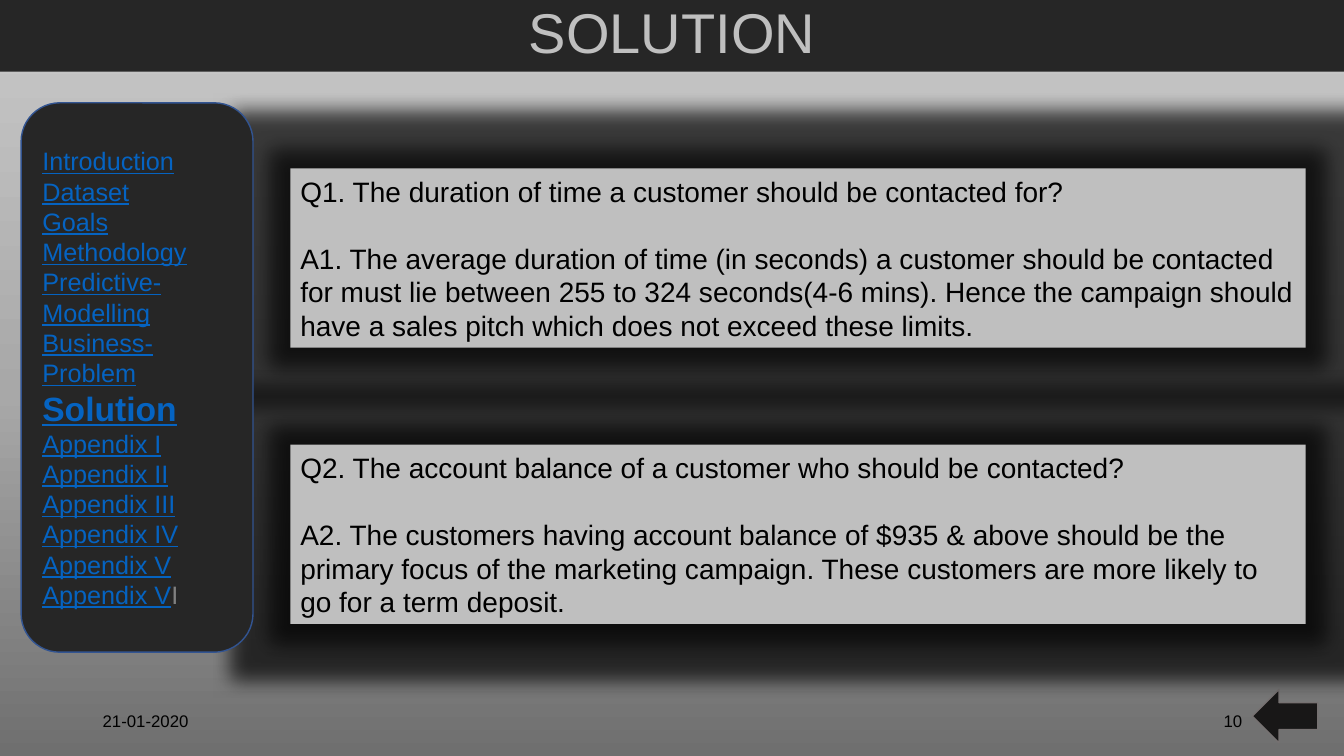
from lxml.etree import SubElement
from copy import deepcopy
from pptx import Presentation
from pptx.dml.color import RGBColor
from pptx.enum.shapes import MSO_SHAPE as Shape
from pptx.enum.text import MSO_ANCHOR as Anchor, MSO_AUTO_SIZE as AutoSize, PP_ALIGN as Align
from pptx.oxml.ns import qn
from pptx.util import Inches, Pt

WIDTH, HEIGHT = 13.33, 7.5
BLACK = RGBColor(0x00, 0x00, 0x00)
CHARCOAL = RGBColor(0x26, 0x26, 0x26)
SILVER = RGBColor(0xBF, 0xBF, 0xBF)
GREY = RGBColor(0x80, 0x80, 0x80)
LINK_BLUE = RGBColor(0x05, 0x63, 0xC1)
MENU_EDGE = RGBColor(0x32, 0x54, 0x91)
ARROW_FILL = RGBColor(0x18, 0x17, 0x17)
ARROW_EDGE = RGBColor(0x76, 0x71, 0x71)
BACKDROP = [
    (0, RGBColor(0x6F, 0x6F, 0x6F)),
    (0.48, RGBColor(0xA8, 0xA8, 0xA8)),
    (1, RGBColor(0xC9, 0xC9, 0xC9)),
]

MENU = ["Introduction", "Dataset", "Goals", "Methodology", "Predictive-Modelling",
        "Business-Problem", "Solution", "Appendix I", "Appendix II",
        "Appendix III", "Appendix IV", "Appendix V"]
ANSWERS = [
    ("Q1. The duration of time a customer should be contacted for?",
     "A1. The average duration of time (in seconds) a customer should be contacted for "
     "must lie between 255 to 324 seconds(4-6 mins). Hence the campaign should have a "
     "sales pitch which does not exceed these limits."),
    ("Q2. The account balance of a customer who should be contacted?",
     "A2. The customers having account balance of $935 & above should be the primary "
     "focus of the marketing campaign. These customers are more likely to go for a "
     "term deposit."),
]


def place(box):
    return [Inches(length) for length in box]


def add_run(paragraph, text, size, color, bold=False, underline=False):
    run = paragraph.add_run()
    run.text = text
    font = run.font
    font.name, font.size, font.bold, font.underline = "Arial", Pt(size), bold, underline
    font.color.rgb = color


def next_paragraph(frame, first):
    paragraph = frame.paragraphs[0] if first else frame.add_paragraph()
    paragraph.alignment = Align.LEFT
    return paragraph


def add_panel(slide, kind, box, fill, edge=None):
    panel = slide.shapes.add_shape(kind, *place(box))
    panel.shadow.inherit = False
    panel.fill.solid()
    panel.fill.fore_color.rgb = fill
    if edge is None:
        panel.line.fill.background()
    else:
        panel.line.color.rgb = edge
        panel.line.width = Pt(1)
    panel.text_frame.word_wrap = True
    panel.text_frame.vertical_anchor = Anchor.MIDDLE
    return panel


def add_effect(panel, effect, alpha, **settings):
    effects = panel.fill._xPr.find(qn("a:effectLst"))
    node = SubElement(effects, qn(f"a:{effect}"), settings)
    color = SubElement(node, qn("a:srgbClr"), val=str(BLACK))
    SubElement(color, qn("a:alpha"), val=str(alpha * 1000))


def paint_backdrop(slide):
    fill = slide.background.fill
    fill.gradient()
    fill.gradient_angle = 90
    first_stop = fill.gradient_stops[0]._gs
    first_stop.addnext(deepcopy(first_stop))
    for stop, (position, color) in zip(fill.gradient_stops, BACKDROP):
        stop.position = position
        stop.color.rgb = color


def title_bar(slide, box):
    title = slide.shapes.title
    title.left, title.top, title.width, title.height = place(box)
    title.fill.solid()
    title.fill.fore_color.rgb = CHARCOAL
    frame = title.text_frame
    frame.auto_size = AutoSize.NONE
    frame.vertical_anchor = Anchor.MIDDLE
    heading = frame.paragraphs[0]
    heading.alignment = Align.CENTER
    heading.line_spacing = 0.9
    add_run(heading, "SOLUTION", 40, SILVER)


def menu_panel(slide, box):
    menu = add_panel(slide, Shape.FLOWCHART_ALTERNATE_PROCESS, box, CHARCOAL, MENU_EDGE)
    frame = menu.text_frame
    for index, entry in enumerate(MENU):
        current = entry == "Solution"
        add_run(next_paragraph(frame, index == 0), entry, 24 if current else 18,
                LINK_BLUE, bold=current, underline=True)
    last_entry = next_paragraph(frame, False)
    add_run(last_entry, "Appendix V", 18, LINK_BLUE, underline=True)
    add_run(last_entry, "I", 18, GREY)


def answer_cards(slide, box):
    left, top, width, height = box
    card_height = 1.78
    step = height - card_height
    for row, (question, answer) in enumerate(ANSWERS):
        card = add_panel(slide, Shape.RECTANGLE,
                         (left, top + row * step, width, card_height), SILVER)
        add_effect(card, "glow", 60, rad=str(Pt(28)))
        add_effect(card, "outerShdw", 40, blurRad=str(Pt(5)), dist="0", dir="0",
                   algn="ctr", rotWithShape="0")
        frame = card.text_frame
        add_run(next_paragraph(frame, True), question, 20, BLACK)
        reply = next_paragraph(frame, False)
        reply.space_before = Pt(24)
        add_run(reply, answer, 20, BLACK)


def footer(slide, box):
    left, top, width, height = box
    label_width = 3
    labels = [("21-01-2020", left, Align.LEFT),
              ("10", left + width - label_width, Align.RIGHT)]
    for text, label_left, alignment in labels:
        label = slide.shapes.add_textbox(*place((label_left, top, label_width, height)))
        frame = label.text_frame
        frame.word_wrap = True
        frame.vertical_anchor = Anchor.MIDDLE
        frame.paragraphs[0].alignment = alignment
        add_run(frame.paragraphs[0], text, 12, BLACK)
    add_panel(slide, Shape.LEFT_ARROW, (left + width, top - 0.11, 0.65, 0.53),
              ARROW_FILL, ARROW_EDGE)


def main():
    deck = Presentation()
    deck.slide_width, deck.slide_height = Inches(WIDTH), Inches(HEIGHT)
    slide = deck.slides.add_slide(deck.slide_layouts[5])
    paint_backdrop(slide)
    title_bar(slide, (0, 0, WIDTH, 0.71))
    footer(slide, (0.92, 6.95, 11.5, 0.4))
    answer_cards(slide, (2.88, 1.67, 10.07, 4.52))
    menu_panel(slide, (0.21, 1.02, 2.3, 5.45))
    deck.save("out.pptx")


if __name__ == "__main__":
    main()
